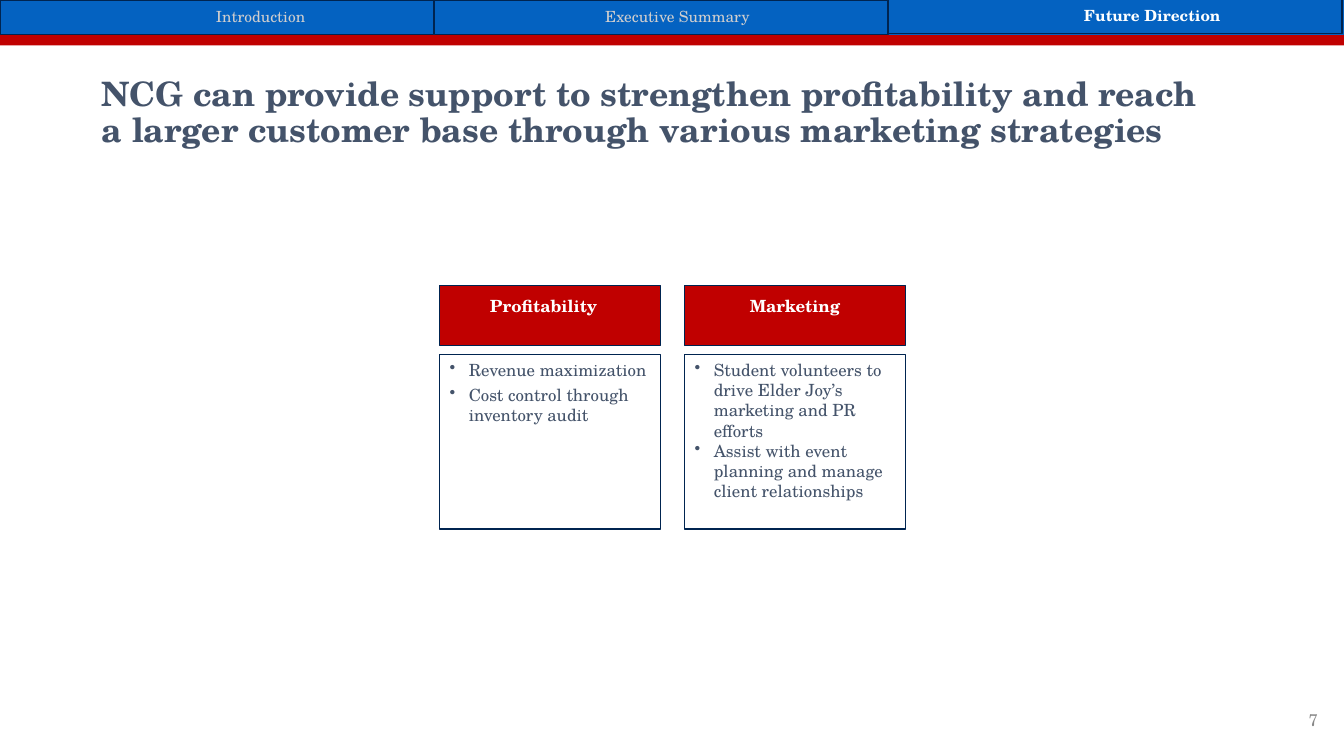
from lxml import etree
from pptx import Presentation
from pptx.dml.color import RGBColor
from pptx.enum.shapes import MSO_SHAPE
from pptx.enum.text import MSO_ANCHOR, MSO_AUTO_SIZE, PP_ALIGN
from pptx.oxml.ns import qn
from pptx.util import Inches, Pt

RECTANGLE = MSO_SHAPE.RECTANGLE
TOP = MSO_ANCHOR.TOP
NO_AUTOFIT = MSO_AUTO_SIZE.NONE
LEFT, CENTER = PP_ALIGN.LEFT, PP_ALIGN.CENTER

BLUE = RGBColor(0x04, 0x62, 0xC1)
RED = RGBColor(0xC0, 0x00, 0x00)
NAVY = RGBColor(0x00, 0x24, 0x50)
SLATE = RGBColor(0x44, 0x53, 0x6A)
SILVER = RGBColor(0xD0, 0xCE, 0xCE)
GRAY = RGBColor(0x87, 0x87, 0x87)
WHITE = RGBColor(0xFF, 0xFF, 0xFF)
FONT = "TeX Gyre Schola"

SLIDE_WIDTH, SLIDE_HEIGHT = 13.33, 7.5
TAB_HEIGHT = 0.34
TABS = [
    ("Introduction", 0, 0, 4.3, 0.87, SILVER, False),
    ("Executive Summary", 4.31, 0, 4.5, 0.32, SILVER, False),
    ("Future Direction", 8.81, -0.01, 4.5, 0.74, WHITE, True),
]

CARD_LEFT, CARD_STEP, CARD_WIDTH = 4.36, 2.43, 2.19
HEADING_TOP, HEADING_HEIGHT = 2.83, 0.6
BODY_TOP, BODY_HEIGHT = 3.52, 1.73
CARDS = [
    ("Profitability", LEFT, 0.5,
     [("Revenue maximization", 3.3),
      ("Cost control through inventory audit", 3.3)]),
    ("Marketing", CENTER, 0,
     [("Student volunteers to drive Elder Joy’s marketing and PR efforts", 3.3),
      ("Assist with event planning and manage client relationships", 0)]),
]


def add_box(slide, left, top, width, height, fill=None, line=None):
    box = slide.shapes.add_shape(
        RECTANGLE, Inches(left), Inches(top), Inches(width), Inches(height))
    box.shadow.inherit = False
    if fill is None:
        box.fill.background()
    else:
        box.fill.solid()
        box.fill.fore_color.rgb = fill
    if line is None:
        box.line.fill.background()
    else:
        box.line.color.rgb = line
        box.line.width = Pt(1)
    return box


def prepare_frame(frame, top_inset):
    frame.word_wrap = True
    frame.auto_size = NO_AUTOFIT
    frame.vertical_anchor = TOP
    frame.margin_left = frame.margin_right = frame.margin_bottom = 0
    frame.margin_top = Inches(top_inset)


def write(paragraph, text, size, color, bold=False, align=LEFT, before=0,
          margin=0, hanging=0, bullet=None):
    paragraph.text = text
    paragraph.alignment = align
    paragraph.space_before = Pt(before)
    properties = paragraph._p.get_or_add_pPr()
    properties.set("marL", str(Inches(margin)))
    properties.set("indent", str(Inches(-hanging)))
    if bullet:
        etree.SubElement(properties, qn("a:buChar")).set("char", bullet)
    font = paragraph.font
    font.name, font.size, font.bold = FONT, Pt(size), bold
    font.color.rgb = color


def add_title(slide, text):
    title = slide.shapes.title
    title.left, title.top = Inches(1), Inches(0.7)
    title.width, title.height = Inches(10.96), Inches(0.79)
    prepare_frame(title.text_frame, 0.06)
    headline = title.text_frame.paragraphs[0]
    write(headline, text, 24, SLATE, bold=True, before=4.2, margin=0.01)
    headline.line_spacing = Pt(25.9)


def add_navigation(slide):
    add_box(slide, 0, 0, SLIDE_WIDTH, 0.35, fill=BLUE)
    add_box(slide, 0, 0.35, SLIDE_WIDTH, 0.1, fill=RED)
    for label, left, top, width, margin, color, bold in TABS:
        tab = add_box(slide, left, top, width, TAB_HEIGHT, line=NAVY)
        prepare_frame(tab.text_frame, 0.07)
        write(tab.text_frame.paragraphs[0], label, 11, color, bold=bold,
              align=CENTER, before=5.3, margin=margin)


def add_card(slide, column, heading, align, margin, points):
    left = CARD_LEFT + column * CARD_STEP
    body = add_box(slide, left, BODY_TOP, CARD_WIDTH, BODY_HEIGHT, line=NAVY)
    frame = body.text_frame
    prepare_frame(frame, 0.05)
    for index, (point, before) in enumerate(points):
        paragraph = frame.add_paragraph() if index else frame.paragraphs[0]
        write(paragraph, point, 12, SLATE, before=before,
              margin=0.29, hanging=0.19, bullet="•")
    header = add_box(slide, left, HEADING_TOP, CARD_WIDTH, HEADING_HEIGHT,
                     fill=RED, line=NAVY)
    prepare_frame(header.text_frame, 0.1)
    write(header.text_frame.paragraphs[0], heading, 12, WHITE, bold=True,
          align=align, before=7, margin=margin)


def add_page_number(slide, number):
    page = slide.shapes.add_textbox(
        Inches(12.97), Inches(7.03), Inches(0.12), Inches(0.22))
    prepare_frame(page.text_frame, 0.01)
    write(page.text_frame.paragraphs[0], number, 12, GRAY, before=1, margin=0.01)


def main():
    deck = Presentation()
    deck.slide_width, deck.slide_height = Inches(SLIDE_WIDTH), Inches(SLIDE_HEIGHT)
    slide = deck.slides.add_slide(deck.slide_layouts.get_by_name("Title Only"))
    add_title(slide, "NCG can provide support to strengthen profitability and reach "
                     "a larger customer base through various marketing strategies")
    for column, card in enumerate(CARDS):
        add_card(slide, column, *card)
    add_page_number(slide, "7")
    add_navigation(slide)
    deck.save("out.pptx")


if __name__ == "__main__":
    main()
